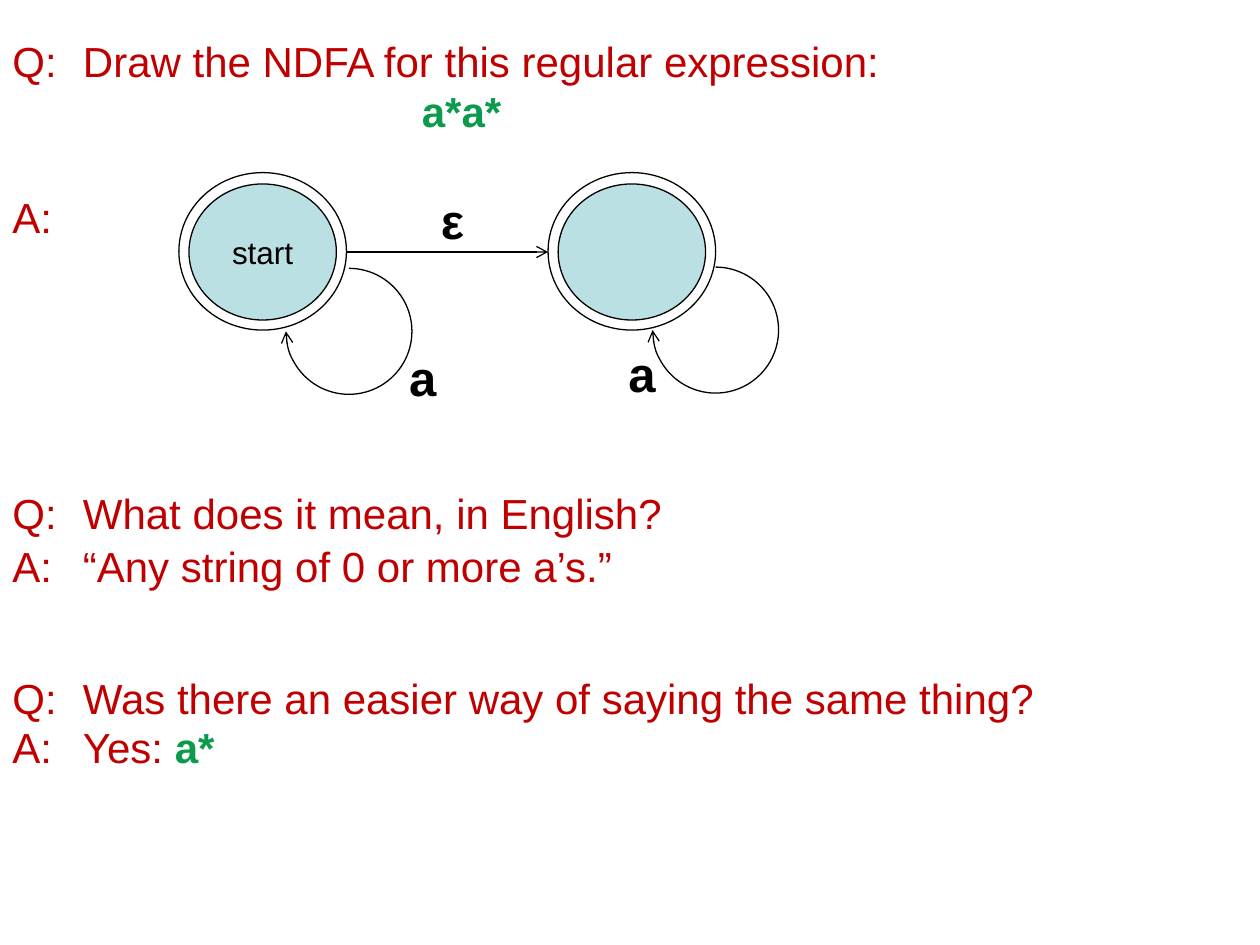
from dataclasses import dataclass
from lxml.etree import SubElement
from pptx import Presentation
from pptx.dml.color import RGBColor
from pptx.enum.shapes import MSO_CONNECTOR, MSO_SHAPE
from pptx.enum.text import MSO_ANCHOR, PP_ALIGN
from pptx.oxml.ns import qn
from pptx.util import Inches, Pt


@dataclass(frozen=True)
class Theme:
    face: str = "Arial"
    red: str = "C00000"
    green: str = "0C9B4D"
    black: str = "000000"
    blue: str = "BBE0E3"
    body: int = 24
    state: int = 18
    label: int = 28
    line: float = 0.75
    indent: float = 0.56


theme = Theme()


def assign(item, values):
    for name, value in values.items():
        setattr(item, name, value)


def write(para, text, size, color, bold=False):
    run = para.add_run()
    run.text = text
    assign(run.font, {"name": theme.face, "size": Pt(size), "bold": bold})
    run.font.color.rgb = RGBColor.from_string(color)


def stroke(shape, arrow=False):
    shape.line.color.rgb = RGBColor.from_string(theme.black)
    shape.line.width = Pt(theme.line)
    if arrow:
        line = shape.element.spPr.find(qn("a:ln"))
        SubElement(line, qn("a:tailEnd"), type="arrow")


def indent(para, left, first):
    props = para._p.get_or_add_pPr()
    props.set("marL", str(int(Inches(left))))
    props.set("indent", str(int(Inches(first))))


def answer(slide, box, text, regex=""):
    frame = slide.shapes.add_textbox(*map(Inches, box)).text_frame
    assign(frame, {"word_wrap": True, "margin_top": Inches(0.09)})
    para = frame.paragraphs[0]
    indent(para, theme.indent, -theme.indent)
    write(para, text, theme.body, theme.red)
    if regex:
        write(para, regex, theme.body, theme.green, True)
    return frame


def ask(slide, box, text, regex):
    para = answer(slide, box, text).add_paragraph()
    indent(para, 3.25, 0)
    write(para, regex, theme.body, theme.green, True)


def label(group, box, text):
    frame = group.shapes.add_textbox(*map(Inches, box)).text_frame
    frame.word_wrap = True
    para = frame.paragraphs[0]
    para.alignment = PP_ALIGN.CENTER
    write(para, text, theme.label, theme.black, True)


def outline(group, kind, box, fill=None, arrow=False):
    shape = group.shapes.add_shape(kind, *map(Inches, box))
    shape.shadow.inherit = False
    if fill:
        shape.fill.solid()
        shape.fill.fore_color.rgb = RGBColor.from_string(fill)
    else:
        shape.fill.background()
    stroke(shape, arrow)
    return shape


def state(group, box, name=""):
    x, y, w, h = box
    outline(group, MSO_SHAPE.OVAL, box)
    inner = (x + 0.08, y + 0.09, w - 0.16, h - 0.17)
    disc = outline(group, MSO_SHAPE.OVAL, inner, theme.blue)
    if name:
        frame = disc.text_frame
        sides = ("left", "top", "right", "bottom")
        assign(frame, {f"margin_{side}": 0 for side in sides})
        frame.vertical_anchor = MSO_ANCHOR.MIDDLE
        para = frame.paragraphs[0]
        para.alignment = PP_ALIGN.CENTER
        write(para, name, theme.state, theme.black)


def loop(group, x, y):
    arc = outline(group, MSO_SHAPE.ARC, (x, y, 1, 1), arrow=True)
    arc.adjustments[0] = 162
    arc.adjustments[1] = 108


def arrow(group, start, end):
    link = group.shapes.add_connector(
        MSO_CONNECTOR.STRAIGHT, *map(Inches, start + end))
    stroke(link, True)
    SubElement(link.element.spPr, qn("a:effectLst"))


def graph(slide, x, y):
    group = slide.shapes.add_group_shape()
    wide, high, step = 1.33, 1.25, 2.93
    state(group, (x, y, wide, high), "start")
    state(group, (x + step, y, wide, high))
    arrow(group, (x + wide, y + 0.63), (x + step, y + 0.63))
    loop(group, x + 0.85, y + 0.76)
    loop(group, x + 3.76, y + 0.75)
    label(group, (x + wide, y + 0.09, 1.68, 0.58), "ε")
    label(group, (x + 1.1, y + 1.34, 1.67, 0.5), "a")
    label(group, (x + 2.76, y + 1.31, 1.83, 0.5), "a")


def main():
    deck = Presentation()
    assign(deck, {"slide_width": Inches(10), "slide_height": Inches(7.5)})
    slide = deck.slides.add_slide(deck.slide_layouts[6])
    ask(slide, (0, 0.19, 8.25, 1.36),
        "Q:\tDraw the NDFA for this regular expression:", "a*a*")
    rows = (
        (1.43, 4.83, "A:"),
        (3.78, 6.42, "Q:\tWhat does it mean, in English?"),
        (4.2, 6.42, "A:\t“Any string of 0 or more a’s.”"),
        (5.25, 8.58, "Q:\tWas there an easier way of saying the same thing?"),
    )
    for top, wide, text in rows:
        answer(slide, (0, top, wide, 0.57), text)
    last = answer(slide, (0, 5.68, 7.25, 0.57), "A:\tYes: ", "a*")
    last.paragraphs[0].line_spacing = 0.9
    graph(slide, 1.42, 1.37)
    deck.save("out.pptx")


if __name__ == "__main__":
    main()
